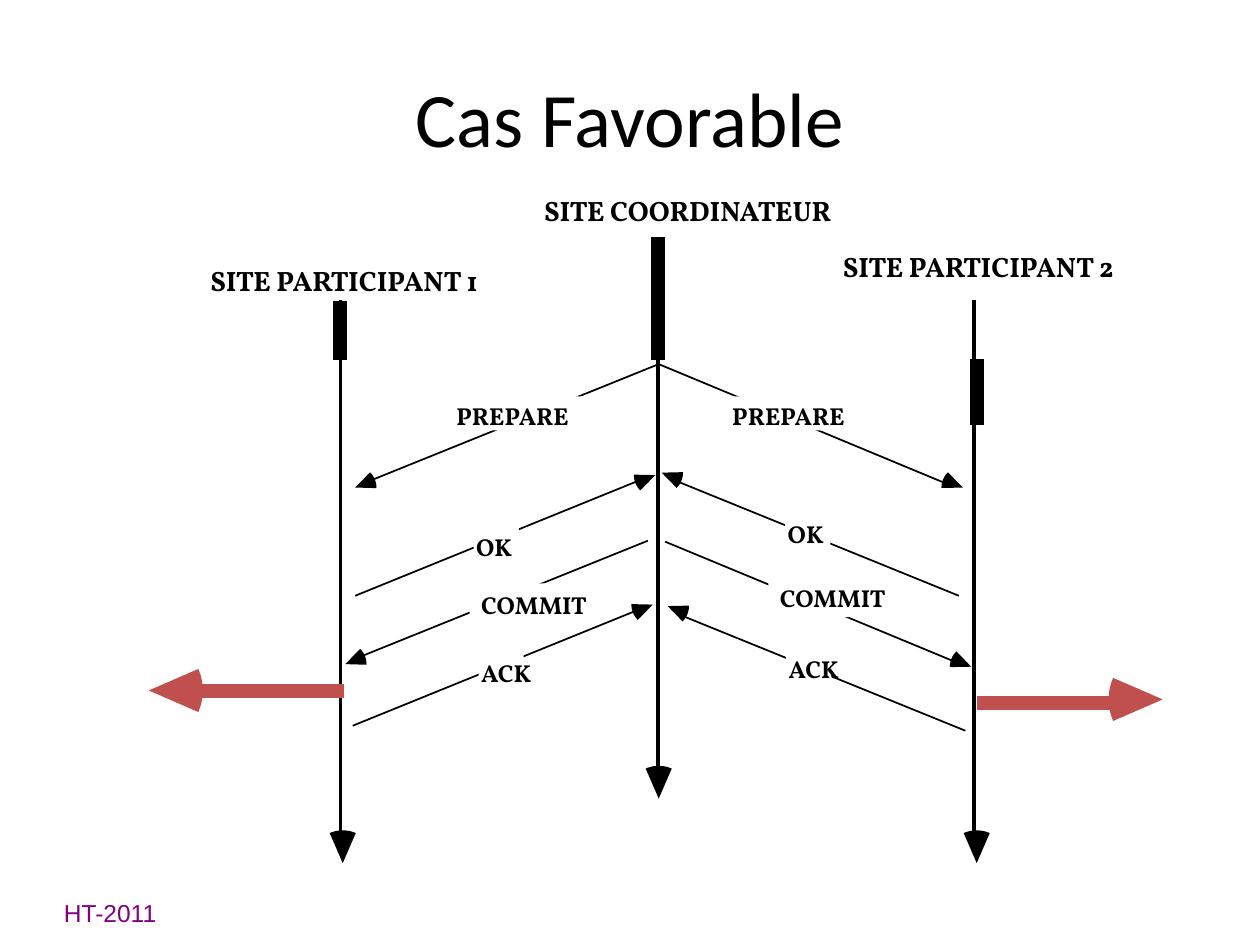
from dataclasses import dataclass
from math import atan2, cos, radians, sin

from lxml.etree import SubElement
from pptx import Presentation
from pptx.dml.color import RGBColor
from pptx.enum.shapes import MSO_CONNECTOR as Connector, MSO_SHAPE as Preset
from pptx.enum.text import MSO_ANCHOR as Anchor, MSO_AUTO_SIZE as AutoSize, PP_ALIGN as Align
from pptx.oxml.ns import qn
from pptx.util import Cm, Pt

Point = tuple[float, float]

COLOURS = {"ink": "000000", "paper": "FFFFFF", "exit": "C0504D", "footer": "800080"}
HEAD_HALF_ANGLE = radians(23.5)
ARC_STEPS = 12
LABEL_HEIGHT = 0.81
LABEL_WIDTHS = {"PREPARE": 2.82, "OK": 1.22, "COMMIT": 2.64, "ACK": 1.52}
MASK_WIDTHS = {"PREPARE": 2.72, "OK": 0.91, "ACK": 0.91}
MASK_HEIGHT = 0.69


@dataclass
class Segment:
    start: Point
    end: Point
    weight: float = 1
    colour: str = "ink"


@dataclass
class Arrow:
    shaft: Segment
    tip: Point
    head_length: float = 0.43


@dataclass
class Message:
    caption: str
    label_at: Point
    arrow: Arrow


@dataclass
class Caption:
    text: str
    left: float
    top: float
    width: float
    height: float
    size: int
    font: str = "Vollkorn"
    bold: bool = True
    colour: str = "ink"
    insets: tuple[float, float, float, float] = (0.23, 0.13, 0.23, 0.13)


LIFELINES = [
    Arrow(Segment((6.86, 6.05), (6.86, 16.79), 2), (6.91, 17.4), 0.66),
    Arrow(Segment((13.26, 4.78), (13.26, 15.49), 2), (13.28, 16.1), 0.66),
    Arrow(Segment((19.63, 6.05), (19.63, 16.79), 2), (19.69, 17.4), 0.66),
]
ACTIVITIES = [
    Segment((13.26, 4.78), (13.26, 7.26), 8),
    Segment((6.86, 6.07), (6.86, 7.26), 8),
    Segment((19.66, 6.07), (19.66, 7.32)),
    Segment((19.69, 7.24), (19.69, 8.56), 8),
]
MESSAGES = [
    Message("PREPARE", (8.97, 7.95), Arrow(Segment((13.28, 7.34), (7.44, 9.7)), (7.16, 9.83))),
    Message("PREPARE", (14.53, 7.95), Arrow(Segment((13.23, 7.32), (19.08, 9.75)), (19.41, 9.83))),
    Message("OK", (9.37, 10.59), Arrow(Segment((7.16, 12.01), (12.85, 9.7)), (13.21, 9.58))),
    Message("OK", (15.65, 10.34), Arrow(Segment((19.33, 12.01), (13.64, 9.7)), (13.34, 9.53))),
    Message("COMMIT", (9.47, 11.76), Arrow(Segment((13.06, 10.9), (7.21, 13.26)), (6.96, 13.39))),
    Message("COMMIT", (15.49, 11.63), Arrow(Segment((13.41, 10.92), (19.25, 13.34)), (19.58, 13.44))),
    Message("ACK", (9.47, 13.13), Arrow(Segment((7.11, 14.63), (12.8, 12.32)), (13.16, 12.19))),
    Message("ACK", (15.67, 13.06), Arrow(Segment((19.46, 14.73), (13.77, 12.42)), (13.46, 12.22))),
]
EXITS = [
    Arrow(Segment((6.93, 13.92), (3.73, 13.92), 8, "exit"), (3, 13.92), 1.09),
    Arrow(Segment((19.69, 14.17), (22.91, 14.17), 8, "exit"), (23.44, 14.1), 1.09),
]
SITES = [
    Caption("SITE COORDINATEUR", 10.74, 3.78, 6.63, 0.91, 16),
    Caption("SITE PARTICIPANT 2", 16.76, 4.9, 6.32, 0.91, 16),
    Caption("SITE PARTICIPANT 1", 4.01, 5.18, 6.32, 0.91, 16),
]
TITLE = Caption("Cas Favorable", 1.27, 0.76, 22.86, 3.18, 44, "Calibri", False)
FOOTER = Caption("HT-2011", 1.04, 17.98, 2.44, 0.71, 14, "Arial", False, "footer",
                 (0.25, 0.13, 0.25, 0))


def rgb(name: str) -> RGBColor:
    return RGBColor.from_string(COLOURS[name])


def fill_plain(shape, colour: str) -> None:
    shape.shadow.inherit = False
    shape.fill.solid()
    shape.fill.fore_color.rgb = rgb(colour)
    shape.line.fill.background()


def draw_segment(page, segment: Segment) -> None:
    ends = [Cm(value) for value in (*segment.start, *segment.end)]
    line = page.shapes.add_connector(Connector.STRAIGHT, *ends)
    line.line.width = Pt(segment.weight)
    line.line.color.rgb = rgb(segment.colour)
    SubElement(line._element.spPr, qn("a:effectLst"))


def draw_arrow(page, arrow: Arrow) -> None:
    (start_x, start_y), (end_x, end_y) = arrow.shaft.start, arrow.shaft.end
    back = atan2(start_y - end_y, start_x - end_x)
    tip_x, tip_y = arrow.tip
    arc = []
    for step in range(ARC_STEPS + 1):
        angle = back + HEAD_HALF_ANGLE * (2 * step / ARC_STEPS - 1)
        arc.append((Cm(tip_x + arrow.head_length * cos(angle)),
                    Cm(tip_y + arrow.head_length * sin(angle))))
    builder = page.shapes.build_freeform(Cm(tip_x), Cm(tip_y))
    builder.add_line_segments(arc, close=True)
    fill_plain(builder.convert_to_shape(), arrow.shaft.colour)
    draw_segment(page, arrow.shaft)


def draw_caption(page, caption: Caption):
    box = page.shapes.add_textbox(Cm(caption.left), Cm(caption.top),
                                  Cm(caption.width), Cm(caption.height))
    frame = box.text_frame
    frame.word_wrap = False
    frame.auto_size = AutoSize.SHAPE_TO_FIT_TEXT
    (frame.margin_left, frame.margin_top,
     frame.margin_right, frame.margin_bottom) = map(Cm, caption.insets)
    span = frame.paragraphs[0].add_run()
    span.text = caption.text
    span.font.name = caption.font
    span.font.size = Pt(caption.size)
    span.font.bold = caption.bold
    span.font.color.rgb = rgb(caption.colour)
    return box


def draw_title(page) -> None:
    frame = draw_caption(page, TITLE).text_frame
    frame.word_wrap = True
    frame.auto_size = AutoSize.NONE
    frame.vertical_anchor = Anchor.MIDDLE
    frame.paragraphs[0].alignment = Align.CENTER


def draw_message(page, message: Message) -> None:
    draw_arrow(page, message.arrow)
    left, top = message.label_at
    masked = message.caption in MASK_WIDTHS
    if masked:
        mask = page.shapes.add_shape(Preset.RECTANGLE, Cm(left + 0.18), Cm(top + 0.04),
                                     Cm(MASK_WIDTHS[message.caption]), Cm(MASK_HEIGHT))
        fill_plain(mask, "paper")
    label = draw_caption(page, Caption(message.caption, left, top,
                                       LABEL_WIDTHS[message.caption], LABEL_HEIGHT, 14))
    if not masked:
        label.fill.solid()
        label.fill.fore_color.rgb = rgb("paper")


def main() -> None:
    deck = Presentation()
    deck.slide_width, deck.slide_height = Cm(25.4), Cm(19.05)
    page = deck.slides.add_slide(deck.slide_layouts[6])
    draw_caption(page, FOOTER)
    draw_title(page)
    for lifeline in LIFELINES:
        draw_arrow(page, lifeline)
    for site in SITES:
        draw_caption(page, site)
    for activity in ACTIVITIES:
        draw_segment(page, activity)
    for message in MESSAGES:
        draw_message(page, message)
    for way_out in EXITS:
        draw_arrow(page, way_out)
    deck.save("out.pptx")


if __name__ == "__main__":
    main()
